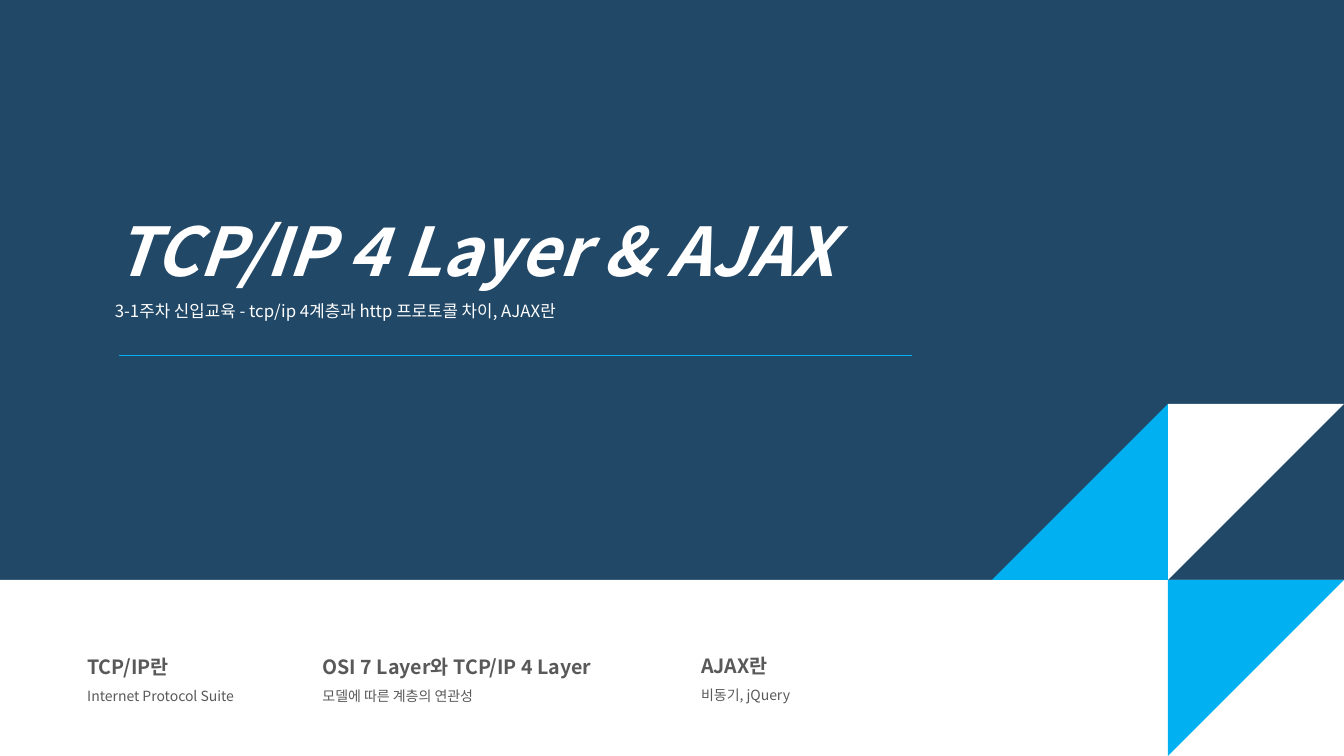
from dataclasses import dataclass

from lxml.etree import SubElement
from pptx import Presentation
from pptx.dml.color import RGBColor as Color
from pptx.enum.shapes import MSO_CONNECTOR as Connector
from pptx.enum.shapes import MSO_SHAPE as Preset
from pptx.enum.text import MSO_AUTO_SIZE as AutoSize
from pptx.oxml.ns import qn
from pptx.util import Pt


@dataclass(frozen=True)
class Theme:
    font: str = "Noto Sans CJK KR"
    navy: str = "214867"
    sky: str = "00B0F0"
    white: str = "FFFFFF"
    grey: str = "595959"
    title: int = 48
    subtitle: int = 12
    heading: int = 14
    detail: int = 10
    line_spacing: float = 1.5


class SlideBuilder:
    def __init__(self, slide, theme):
        self.slide = slide
        self.theme = theme

    def background(self, color):
        fill = self.slide.background.fill
        fill.solid()
        fill.fore_color.rgb = Color.from_string(color)

    def shape(self, preset, left, top, width, height, color, rotation=0):
        shape = self.slide.shapes.add_shape(
            preset, Pt(left), Pt(top), Pt(width), Pt(height))
        shape.shadow.inherit = False
        shape.fill.solid()
        shape.fill.fore_color.rgb = Color.from_string(color)
        shape.line.fill.background()
        shape.rotation = rotation

    def rule(self, left, right, top, color):
        line = self.slide.shapes.add_connector(
            Connector.STRAIGHT, Pt(left), Pt(top), Pt(right), Pt(top))
        line.line.color.rgb = Color.from_string(color)
        line.line.width = Pt(1)
        SubElement(line._element.spPr, qn("a:effectLst"))

    def text(self, left, top, width, height, color, paragraphs):
        box = self.slide.shapes.add_textbox(
            Pt(left), Pt(top), Pt(width), Pt(height))
        frame = box.text_frame
        frame.word_wrap = True
        frame.auto_size = AutoSize.SHAPE_TO_FIT_TEXT
        for index, (text, size, styles) in enumerate(paragraphs):
            paragraph = frame.paragraphs[0] if index == 0 else frame.add_paragraph()
            paragraph.line_spacing = self.theme.line_spacing
            run = paragraph.add_run()
            run.text = text
            run.font.color.rgb = Color.from_string(color)
            formats = {"name": self.theme.font, "size": Pt(size),
                       "bold": False, "italic": False, **styles}
            for name, value in formats.items():
                setattr(run.font, name, value)
            # Korean letters take the East Asian typeface
            SubElement(run._r.get_or_add_rPr(), qn("a:ea"), typeface=self.theme.font)


def main():
    theme = Theme()
    width, height, tile = 960, 540, 125.75
    presentation = Presentation()
    presentation.slide_width = Pt(width)
    presentation.slide_height = Pt(height)
    slide = presentation.slides.add_slide(presentation.slide_layouts[6])
    builder = SlideBuilder(slide, theme)

    # Background and lower band
    builder.background(theme.navy)
    builder.shape(Preset.RECTANGLE, 0, height - tile, width, tile, theme.white)

    # Corner triangles, counted in tiles from the lower right corner
    for column, row, color, rotation in (
        (1, 2, theme.white, 90),
        (2, 2, theme.sky, 270),
        (1, 1, theme.sky, 90),
    ):
        builder.shape(Preset.RIGHT_TRIANGLE, width - column * tile,
                      height - row * tile, tile, tile, color, rotation)

    # Title and rule
    builder.text(75, 117.5, 728, 114, theme.white, (
        ("TCP/IP 4 Layer & AJAX", theme.title, {"bold": True, "italic": True}),
        ("3-1주차 신입교육 - tcp/ip 4계층과 http 프로토콜 차이, AJAX란",
         theme.subtitle, {}),
    ))
    builder.rule(85, 651.5, 254, theme.sky)

    # Topics
    for left, top, box_width, heading, detail in (
        (55.25, 456, 132.5, "TCP/IP란", "Internet Protocol Suite"),
        (223.25, 456, 210, "OSI 7 Layer와 TCP/IP 4 Layer", "모델에 따른 계층의 연관성"),
        (493.75, 455.25, 88.5, "AJAX란", "비동기, jQuery"),
    ):
        builder.text(left, top, box_width, 48, theme.grey, (
            (heading, theme.heading, {"bold": True}),
            (detail, theme.detail, {}),
        ))

    presentation.save("out.pptx")


if __name__ == "__main__":
    main()
